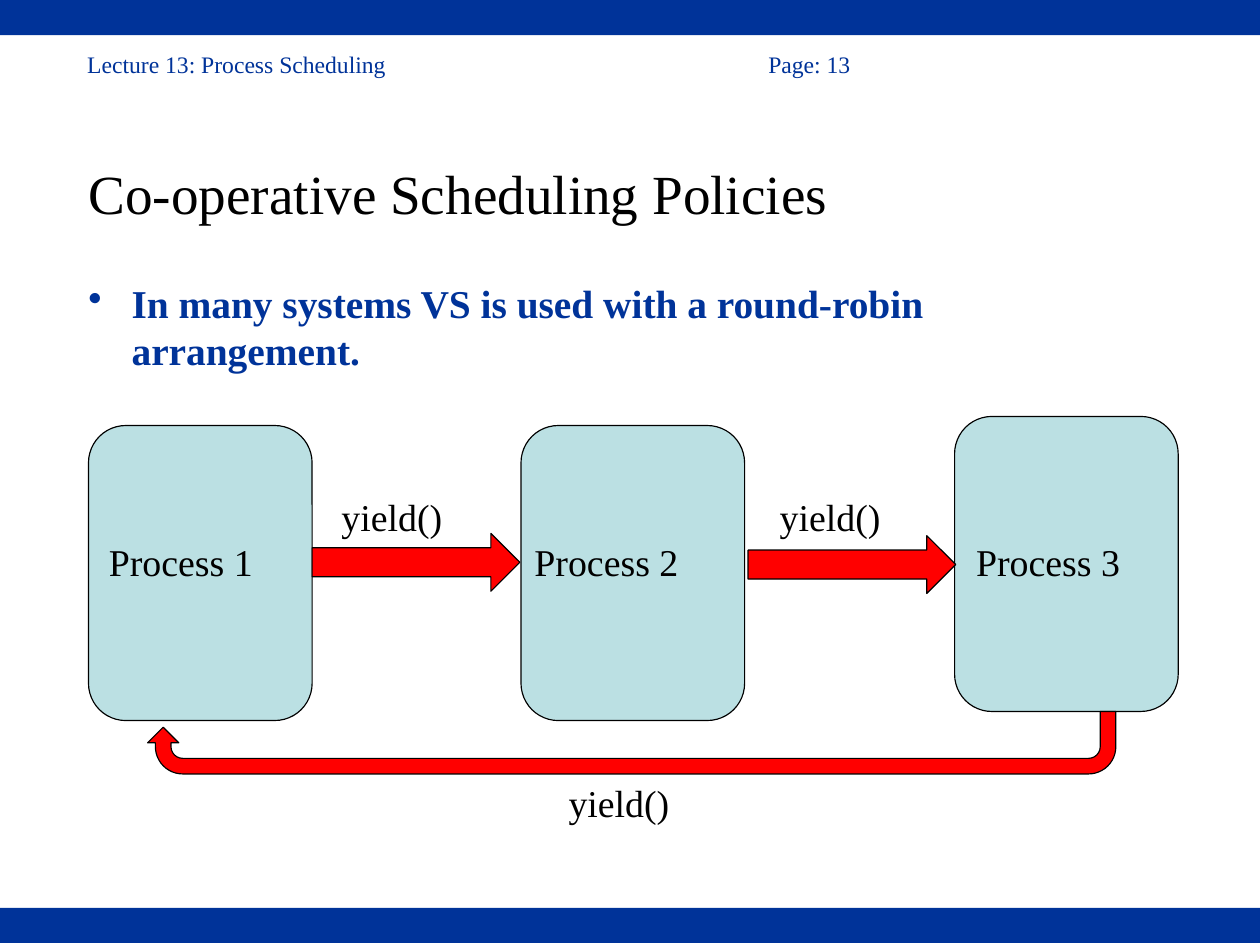
from pptx import Presentation
from pptx.dml.color import RGBColor
from pptx.enum.shapes import MSO_SHAPE
from pptx.enum.text import MSO_ANCHOR
from pptx.util import Inches, Pt
from lxml import etree

RECTANGLE = MSO_SHAPE.RECTANGLE
ROUNDED = MSO_SHAPE.ROUNDED_RECTANGLE
RIGHT_ARROW = MSO_SHAPE.RIGHT_ARROW
U_TURN_ARROW = MSO_SHAPE.U_TURN_ARROW
TOP, MIDDLE = MSO_ANCHOR.TOP, MSO_ANCHOR.MIDDLE

# Content
HEADER = [("Lecture 13: Process Scheduling", 0.67, 4), ("Page: 13", 6.67, 1.92)]
TITLE = "Co-operative Scheduling Policies"
BULLET = "In many systems VS is used with a round-robin arrangement."
CALL = "yield()"
# name, box left, box top, label left
PROCESSES = [
    ("Process 1", 0.78, 3.75, 0.86),
    ("Process 2", 4.59, 3.75, 4.61),
    ("Process 3", 8.41, 3.67, 8.5),
]
# arrow left, arrow top, label left
YIELDS = [(2.75, 4.7, 2.91), (6.59, 4.72, 6.77)]

# Theme and measures
THEME = {
    "font": "Times New Roman",
    "blue": RGBColor.from_string("003399"),
    "black": RGBColor.from_string("000000"),
    "box": RGBColor.from_string("BBE0E3"),
    "arrow": RGBColor.from_string("FF0000"),
    "header": 15, "title": 35, "bullet": 25, "label": 24,
}
SLIDE_WIDTH, SLIDE_HEIGHT = 11.1, 8.31
BAND_HEIGHT = 0.31
BOX_WIDTH, BOX_HEIGHT = 1.97, 2.6
ARROW_WIDTH, ARROW_HEIGHT = 1.83, 0.51
LABEL_HEIGHT = 0.51
PROCESS_LABEL_WIDTH, CALL_WIDTH = 1.89, 1.58
PROCESS_LABEL_TOP, CALL_TOP = 4.7, 4.3

presentation = Presentation()
presentation.slide_width = Inches(SLIDE_WIDTH)
presentation.slide_height = Inches(SLIDE_HEIGHT)
slide = presentation.slides.add_slide(presentation.slide_layouts[6])


def add_figure(kind, left, top, width, height, fill, outlined=True):
    shape = slide.shapes.add_shape(
        kind, Inches(left), Inches(top), Inches(width), Inches(height))
    shape.shadow.inherit = False
    shape.fill.solid()
    shape.fill.fore_color.rgb = THEME[fill]
    if outlined:
        shape.line.color.rgb = THEME["black"]
        shape.line.width = Pt(0.75)
    else:
        shape.line.fill.background()
    return shape


def add_text(text, left, top, width, height, size, color="black",
             bold=False, anchor=TOP, margins=(0.1, 0.05)):
    shape = slide.shapes.add_textbox(
        Inches(left), Inches(top), Inches(width), Inches(height))
    frame = shape.text_frame
    frame.word_wrap = True
    frame.vertical_anchor = anchor
    frame.margin_left = frame.margin_right = Inches(margins[0])
    frame.margin_top = frame.margin_bottom = Inches(margins[1])
    frame.text = text
    paragraph = frame.paragraphs[0]
    font = paragraph.runs[0].font
    font.name = THEME["font"]
    font.size = Pt(THEME[size])
    font.color.rgb = THEME[color]
    font.bold = bold
    return paragraph


def add_bullet(paragraph, indent):
    properties = paragraph._p.get_or_add_pPr()
    properties.set("marL", str(Inches(indent)))
    properties.set("indent", str(-Inches(indent)))
    namespace = properties.nsmap["a"]
    bullet = etree.SubElement(properties, f"{{{namespace}}}buChar")
    bullet.set("char", "•")


# Bands and running header
for band_top in (0, SLIDE_HEIGHT - BAND_HEIGHT):
    add_figure(RECTANGLE, 0, band_top, SLIDE_WIDTH, BAND_HEIGHT, "blue", False)
for text, left, width in HEADER:
    add_text(text, left, 0.39, width, 0.35, "header", "blue")

# Title and bullet
add_text(TITLE, 0.67, 1, 7.91, 1.39, "title", anchor=MIDDLE, margins=(0.11, 0.06))
bullet_paragraph = add_text(BULLET, 0.67, 2.4, 9.44, 0.89, "bullet", "blue",
                            bold=True, margins=(0.11, 0.06))
bullet_paragraph.space_before = Pt(5)
add_bullet(bullet_paragraph, 0.38)

# Processes
for name, left, top, label_left in PROCESSES:
    add_figure(ROUNDED, left, top, BOX_WIDTH, BOX_HEIGHT, "box")
    add_text(name, label_left, PROCESS_LABEL_TOP, PROCESS_LABEL_WIDTH,
             LABEL_HEIGHT, "label")

# Yield from each process to the next
for left, top, label_left in YIELDS:
    add_figure(RIGHT_ARROW, left, top, ARROW_WIDTH, ARROW_HEIGHT, "arrow")
    add_text(CALL, label_left, CALL_TOP, CALL_WIDTH, LABEL_HEIGHT, "label")

# Yield from the last process back to the first
return_arrow = add_figure(U_TURN_ARROW, 1.3, 6.27, 8.53, 0.55, "arrow")
return_arrow.rotation = 180
add_text(CALL, 4.91, 6.82, CALL_WIDTH, LABEL_HEIGHT, "label")

presentation.save("out.pptx")
